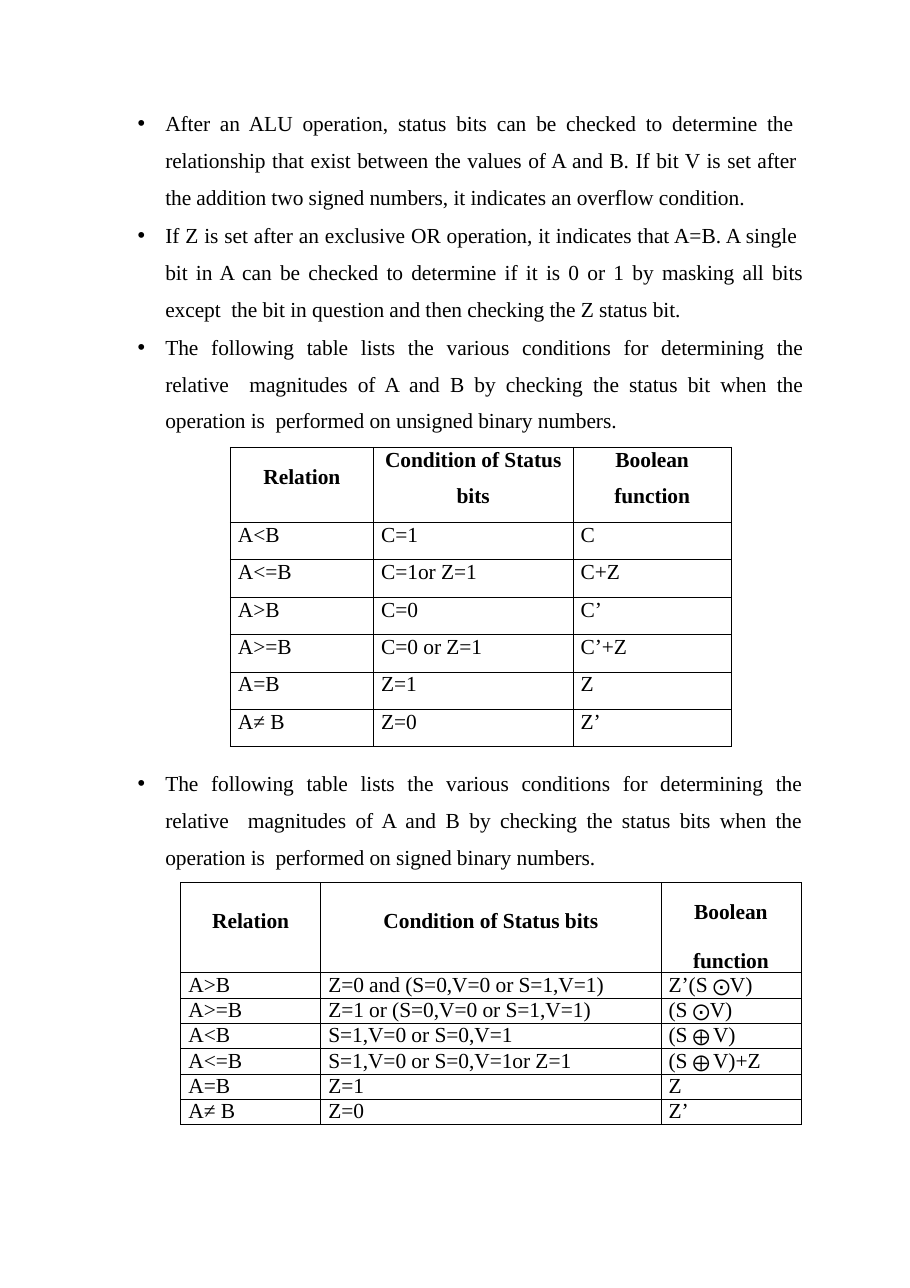
from lxml import etree
from pptx import Presentation
from pptx.dml.color import RGBColor
from pptx.enum.text import MSO_ANCHOR, MSO_AUTO_SIZE, PP_ALIGN
from pptx.oxml.ns import qn
from pptx.util import Inches, Pt

TOP = MSO_ANCHOR.TOP
NO_FIT = MSO_AUTO_SIZE.NONE
LEFT, CENTER, JUSTIFY = PP_ALIGN.LEFT, PP_ALIGN.CENTER, PP_ALIGN.JUSTIFY
COLORS = {"text": "000000", "border": "000000"}
FONT, SYMBOL_FONT = "Times New Roman", "DejaVu Sans"
SYMBOL_SPACING = {"⨀": -50, "⨁ ": -140}

INTRO = [
    "After an ALU operation, status bits can be checked to determine the  relationship that exist "
    "between the values of A and B. If bit V is set after  the addition two signed numbers, "
    "it indicates an overflow condition.",
    "If Z is set after an exclusive OR operation, it indicates that A=B. A single  bit in A can be "
    "checked to determine if it is 0 or 1 by masking all bits except  the bit in question and "
    "then checking the Z status bit.",
    "The following table lists the various conditions for determining the relative  magnitudes "
    "of A and B by checking the status bit when the operation is  performed on unsigned binary "
    "numbers.",
]
SIGNED_INTRO = [
    "The following table lists the various conditions for determining the relative  magnitudes "
    "of A and B by checking the status bits when the operation is  performed on signed binary "
    "numbers.",
]
UNSIGNED_HEADS = [(["Relation"], 0.16), (["Condition of Status", "bits"], 0),
                  (["Boolean", "function"], 0)]
UNSIGNED_ROWS = [
    ("A<B", "C=1", "C"),
    ("A<=B", "C=1or Z=1", "C+Z"),
    ("A>B", "C=0", "C’"),
    ("A>=B", "C=0 or Z=1", "C’+Z"),
    ("A=B", "Z=1", "Z"),
    ("A≠ B", "Z=0", "Z’"),
]
SIGNED_HEADS = [(["Relation"], 0.24), (["Condition of Status bits"], 0.24),
                (["Boolean", "function"], 0.15)]
SIGNED_ROWS = [
    ("A>B", "Z=0 and (S=0,V=0 or S=1,V=1)", "Z’(S |⨀|V)"),
    ("A>=B", "Z=1 or (S=0,V=0 or S=1,V=1)", "(S |⨀|V)"),
    ("A<B", "S=1,V=0 or S=0,V=1", "(S |⨁ |V)"),
    ("A<=B", "S=1,V=0 or S=0,V=1or Z=1", "(S |⨁ |V)+Z"),
    ("A=B", "Z=1", "Z"),
    ("A≠ B", "Z=0", "Z’"),
]


def add_runs(p, text, bold=False):
    """Add the runs of a text whose symbols are set apart by bars."""
    for part in text.split("|"):
        symbol = part in SYMBOL_SPACING
        r = p.add_run()
        r.text = part
        r.font.name = SYMBOL_FONT if symbol else FONT
        r.font.size = Pt(11 if symbol else 14)
        r.font.bold = bold
        r.font.color.rgb = RGBColor.from_string(COLORS["text"])
        r._r.get_or_add_rPr().set("spc", str(SYMBOL_SPACING.get(part, -5)))


def add_paragraphs(tf, texts, align, line, gap, bold=False):
    """Fill a text frame with evenly spaced paragraphs."""
    for i, text in enumerate(texts):
        p = tf.add_paragraph() if i else tf.paragraphs[0]
        p.alignment = align
        p.line_spacing = Pt(line)
        p.space_before = Pt(gap if i else 0)
        p.space_after = Pt(0)
        add_runs(p, text, bold)


def fill_bullets(sp, box, texts):
    """Place a body placeholder and fill it with justified bullets."""
    sp.left, sp.top, sp.width, sp.height = map(Inches, box)
    tf = sp.text_frame
    tf.word_wrap = True
    tf.auto_size = NO_FIT
    tf.vertical_anchor = TOP
    tf.margin_left = tf.margin_right = tf.margin_bottom = 0
    tf.margin_top = Inches(0.01)
    add_paragraphs(tf, texts, JUSTIFY, 24, 1.1)
    for p in tf.paragraphs:
        pPr = p._p.get_or_add_pPr()
        pPr.set("marL", str(Inches(0.26)))
        pPr.set("indent", str(Inches(-0.25)))
        etree.SubElement(pPr, qn("a:buFont"), typeface="Arial")
        etree.SubElement(pPr, qn("a:buChar"), char="•")


def style_cell(cell, margin_left, margin_top):
    """Give a cell thin borders, no fill and its margins."""
    tcPr = cell._tc.get_or_add_tcPr()
    for side in ("lnL", "lnR", "lnT", "lnB"):
        ln = etree.SubElement(tcPr, qn(f"a:{side}"), w=str(Pt(0.5)))
        fill = etree.SubElement(ln, qn("a:solidFill"))
        etree.SubElement(fill, qn("a:srgbClr"), val=COLORS["border"])
    cell.fill.background()
    cell.vertical_anchor = TOP
    cell.margin_left = Inches(margin_left)
    cell.margin_top = Inches(margin_top)
    cell.margin_right = cell.margin_bottom = 0


def add_conditions(slide, box, widths, heads, rows, head_height, row_height, line, head_gap):
    """Add a table of relations, status bits and Boolean functions."""
    frame = slide.shapes.add_table(len(rows) + 1, len(heads), *map(Inches, box))
    table = frame.table
    table.first_row = table.horz_banding = False
    for column, width in zip(table.columns, widths):
        column.width = Inches(width)
    for i, row in enumerate(table.rows):
        row.height = Inches(row_height if i else head_height)
    for j, (texts, margin_top) in enumerate(heads):
        cell = table.cell(0, j)
        style_cell(cell, 0, margin_top)
        add_paragraphs(cell.text_frame, texts, CENTER, 16.1, head_gap, True)
    for i, values in enumerate(rows, 1):
        for j, value in enumerate(values):
            cell = table.cell(i, j)
            style_cell(cell, 0.07, 0)
            add_paragraphs(cell.text_frame, [value], LEFT, line, 0)


def build_slide(prs):
    """Build the page of status bit conditions."""
    slide = prs.slides.add_slide(prs.slide_layouts[3])
    title, intro, signed_intro = slide.placeholders
    title._element.getparent().remove(title._element)
    fill_bullets(intro, (1.24, 0.89, 6.05, 3.07), INTRO)
    add_conditions(slide, (2.09, 4.06, 4.55, 2.73), (1.3, 1.81, 1.44),
                   UNSIGNED_HEADS, UNSIGNED_ROWS, 0.68, 0.34, 16.1, 7.4)
    fill_bullets(signed_intro, (1.24, 6.88, 6.04, 1.04), SIGNED_INTRO)
    add_conditions(slide, (1.64, 8.01, 5.63, 2.2), (1.27, 3.09, 1.27),
                   SIGNED_HEADS, SIGNED_ROWS, 0.82, 0.23, 15.6, 16)


def main():
    """Create and save the presentation."""
    prs = Presentation()
    prs.slide_width, prs.slide_height = Inches(8.26), Inches(11.69)
    build_slide(prs)
    prs.save("out.pptx")


if __name__ == "__main__":
    main()
